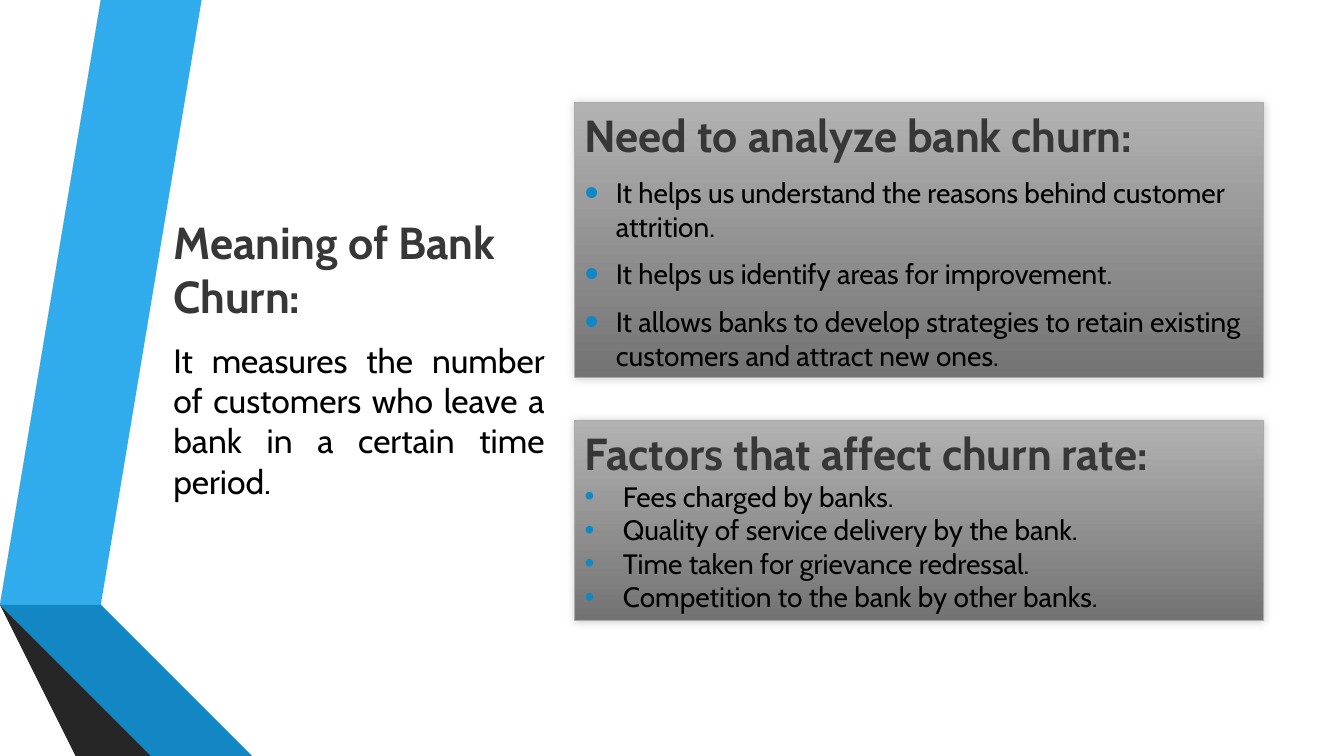
"""Build the slide on the meaning, need and factors of bank churn."""
from dataclasses import dataclass

from lxml import etree
from pptx import Presentation
from pptx.dml.color import RGBColor
from pptx.enum.shapes import MSO_SHAPE
from pptx.enum.text import MSO_ANCHOR, PP_ALIGN
from pptx.oxml.ns import qn
from pptx.util import Inches, Pt

RECTANGLE = MSO_SHAPE.RECTANGLE
TOP, MIDDLE, BOTTOM = MSO_ANCHOR.TOP, MSO_ANCHOR.MIDDLE, MSO_ANCHOR.BOTTOM
LEFT, JUSTIFY = PP_ALIGN.LEFT, PP_ALIGN.JUSTIFY


@dataclass(frozen=True)
class Theme:
    """Colours, font and type sizes of the slide."""
    font: str = "Cabin"
    heading: str = "373737"
    text: str = "000000"
    bullet: str = "1287C3"
    panel_top: str = "B2B2B2"
    panel_bottom: str = "737373"
    panel_line: str = "ABABAB"
    heading_size: int = 32
    definition_size: int = 24
    point_size: int = 20


@dataclass(frozen=True)
class Ribbon:
    """One coloured facet of the folded ribbons."""
    color: str
    points: tuple[tuple[float, float], ...]


@dataclass(frozen=True)
class Statement:
    """Plain text beside the panels."""
    text: str
    top: float
    height: float
    size: int
    color: str
    bold: bool
    anchor: MSO_ANCHOR
    align: PP_ALIGN


@dataclass(frozen=True)
class Panel:
    """Shaded panel with a heading and bulleted points."""
    heading: str
    points: tuple[str, ...]
    top: float
    height: float
    indent: float
    bullet_percent: int
    before: int
    after: int


THEME = Theme()
RIBBONS = (
    Ribbon("30ACEC", ((0.5, 5.78), (0.77, 5.83), (1.73, 0), (1.45, 0))),
    Ribbon("595959", ((1.39, 0), (1.11, 0), (0.16, 5.73), (0.44, 5.77))),
    Ribbon("262626", ((0.16, 5.73), (1.45, 7.5), (1.51, 7.5))),
    Ribbon("0C5A82", ((0.5, 5.79), (2.08, 7.5), (2.14, 7.5))),
    Ribbon("1287C3", ((0.5, 5.78), (2.14, 7.5), (2.83, 7.5), (0.77, 5.83))),
    Ribbon("404040", ((2.02, 7.5), (0.48, 5.83), (0.44, 5.77), (0.16, 5.73), (1.51, 7.5))),
)
STATEMENTS = (
    Statement("Meaning of Bank Churn:", 1.75, 1.5, THEME.heading_size,
              THEME.heading, True, BOTTOM, LEFT),
    Statement("It measures the number of customers who leave a bank in a certain time period.",
              3.25, 1.84, THEME.definition_size, THEME.text, False, MIDDLE, JUSTIFY),
)
PANELS = (
    Panel("Need to analyze bank churn:",
          ("It helps us understand the reasons behind customer attrition.",
           "It helps us identify areas for improvement.",
           "It allows banks to develop strategies to retain existing customers "
           "and attract new ones."),
          1.02, 2.73, 0.31, 145, 4, 6),
    Panel("Factors that affect churn rate:",
          ("Fees charged by banks.",
           "Quality of service delivery by the bank.",
           "Time taken for grievance redressal.",
           "Competition to the bank by other banks."),
          4.17, 1.99, 0.38, 100, 0, 0),
)


def rgb(color: str) -> RGBColor:
    """Turn a hex code into a colour."""
    return RGBColor.from_string(color)


def add_run(paragraph, text: str, size: int, color: str, bold: bool) -> None:
    """Add one styled run to a paragraph."""
    run = paragraph.add_run()
    run.text = text
    run.font.name = THEME.font
    run.font.size = Pt(size)
    run.font.bold = bold
    run.font.color.rgb = rgb(color)


def add_bullet(paragraph, indent: float, percent: int) -> None:
    """Give a paragraph a coloured bullet and a hanging indent."""
    properties = paragraph._p.get_or_add_pPr()
    properties.set("marL", str(Inches(indent)))
    properties.set("indent", str(-Inches(indent)))
    color = etree.SubElement(properties, qn("a:buClr"))
    etree.SubElement(color, qn("a:srgbClr"), val=THEME.bullet)
    etree.SubElement(properties, qn("a:buSzPct"), val=str(percent * 1000))
    etree.SubElement(properties, qn("a:buFont"), typeface="Arial")
    etree.SubElement(properties, qn("a:buChar"), char="•")


def add_soft_shadow(shape) -> None:
    """Put a faint blurred shadow around a shape."""
    shape.shadow.inherit = False
    effects = shape._element.spPr.find(qn("a:effectLst"))
    shadow = etree.SubElement(effects, qn("a:outerShdw"), blurRad=str(Pt(6)),
                              dist="0", dir=str(225 * 60000))
    color = etree.SubElement(shadow, qn("a:srgbClr"), val="000000")
    etree.SubElement(color, qn("a:alpha"), val="20000")


def draw_ribbon(slide, ribbon: Ribbon) -> None:
    """Draw one ribbon facet."""
    start, *others = ribbon.points
    builder = slide.shapes.build_freeform(*start, scale=Inches(1))
    builder.add_line_segments(others, close=True)
    facet = builder.convert_to_shape()
    facet.shadow.inherit = False
    facet.fill.solid()
    facet.fill.fore_color.rgb = rgb(ribbon.color)
    facet.line.fill.background()


def draw_statement(slide, statement: Statement) -> None:
    """Draw one text of the left column."""
    box = slide.shapes.add_textbox(Inches(1.62), Inches(statement.top),
                                   Inches(3.88), Inches(statement.height))
    frame = box.text_frame
    frame.word_wrap = True
    frame.vertical_anchor = statement.anchor
    paragraph = frame.paragraphs[0]
    paragraph.alignment = statement.align
    add_run(paragraph, statement.text, statement.size, statement.color, statement.bold)


def draw_panel(slide, panel: Panel) -> None:
    """Draw a shaded panel with its heading and points."""
    box = slide.shapes.add_shape(RECTANGLE, Inches(5.7), Inches(panel.top),
                                 Inches(6.83), Inches(panel.height))
    box.fill.gradient()
    box.fill.gradient_angle = 270
    shades = (THEME.panel_top, THEME.panel_bottom)
    for position, (stop, shade) in enumerate(zip(box.fill.gradient_stops, shades)):
        stop.position = position
        stop.color.rgb = rgb(shade)
    box.line.color.rgb = rgb(THEME.panel_line)
    box.line.width = Pt(0.75)
    add_soft_shadow(box)

    frame = box.text_frame
    frame.word_wrap = True
    frame.vertical_anchor = TOP
    heading = frame.paragraphs[0]
    heading.alignment = LEFT
    heading.space_after = Pt(panel.after)
    add_run(heading, panel.heading, THEME.heading_size, THEME.heading, True)
    for point in panel.points:
        paragraph = frame.add_paragraph()
        paragraph.alignment = LEFT
        paragraph.space_before = Pt(panel.before)
        paragraph.space_after = Pt(panel.after)
        add_bullet(paragraph, panel.indent, panel.bullet_percent)
        add_run(paragraph, point, THEME.point_size, THEME.text, False)


def main() -> None:
    """Build and save the slide."""
    deck = Presentation()
    deck.slide_width, deck.slide_height = Inches(13.33), Inches(7.5)
    slide = deck.slides.add_slide(deck.slide_layouts[6])
    for ribbon in RIBBONS:
        draw_ribbon(slide, ribbon)
    for statement in STATEMENTS:
        draw_statement(slide, statement)
    for panel in PANELS:
        draw_panel(slide, panel)
    deck.save("out.pptx")


if __name__ == "__main__":
    main()
